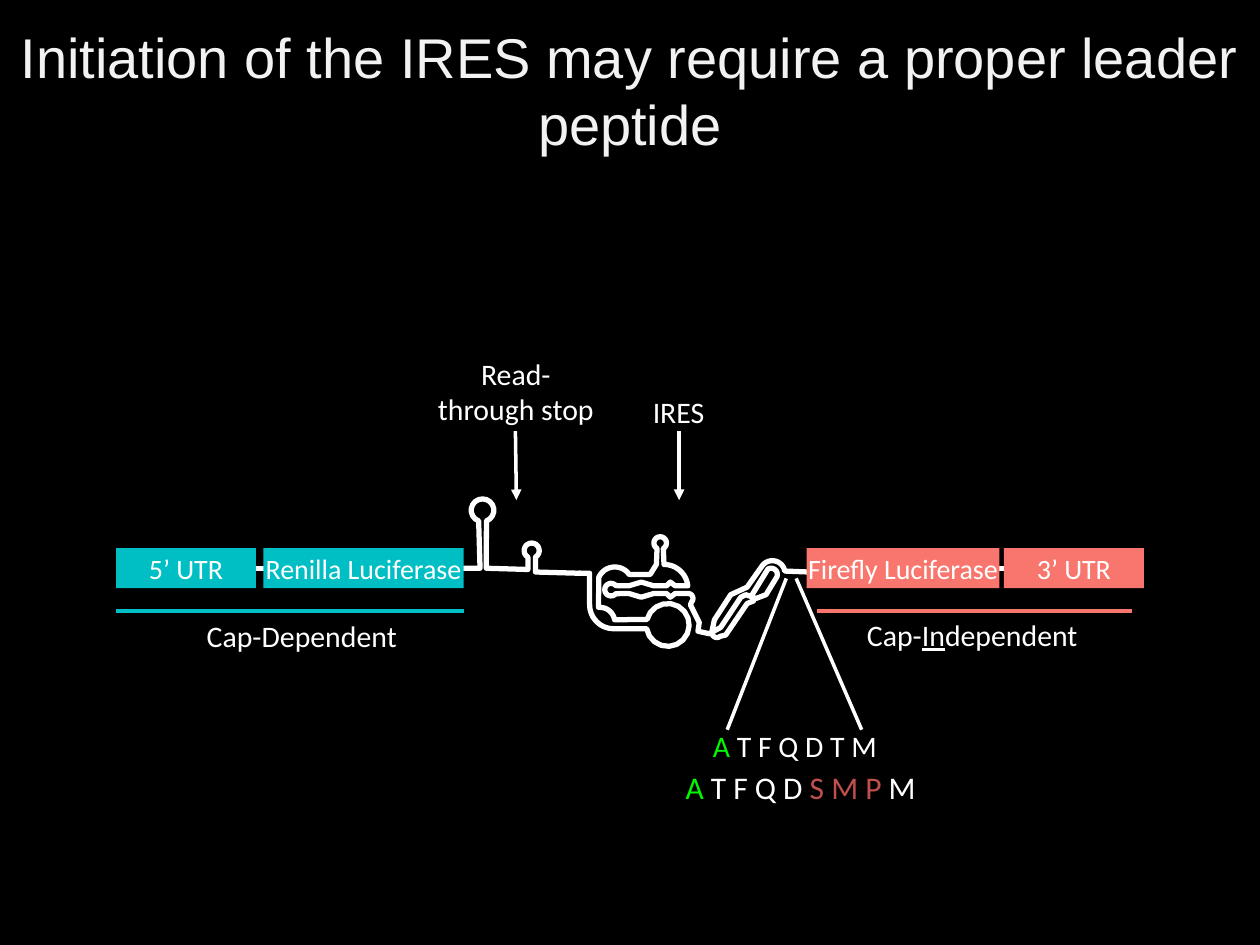
from dataclasses import dataclass
from math import cos, radians, sin
from lxml.etree import SubElement
from pptx import Presentation
from pptx.dml.color import RGBColor as Rgb
from pptx.enum.shapes import MSO_CONNECTOR as Connector, MSO_SHAPE as Preset
from pptx.enum.text import MSO_ANCHOR as Anchor, PP_ALIGN as Align
from pptx.oxml.ns import qn
from pptx.util import Cm, Pt


@dataclass(frozen=True)
class Theme:
    black: Rgb = Rgb.from_string("000000")
    white: Rgb = Rgb.from_string("FFFFFF")
    title: Rgb = Rgb.from_string("F2F2F2")
    teal: Rgb = Rgb.from_string("00BFC4")
    coral: Rgb = Rgb.from_string("F8766D")
    green: Rgb = Rgb.from_string("00F900")
    red: Rgb = Rgb.from_string("C0504D")
    heading_size: int = 32
    gene_size: int = 16
    label_size: int = 17
    peptide_size: int = 18


theme = Theme()


def write_text(shape, paragraphs, *, size=theme.label_size, color=theme.white, font="Calibri",
               align=Align.CENTER, anchor=Anchor.MIDDLE, inset=0.1, wrap=True):
    frame = shape.text_frame
    frame.word_wrap = wrap
    frame.vertical_anchor = anchor
    frame.margin_left = frame.margin_right = frame.margin_top = frame.margin_bottom = Cm(inset)
    for index, spans in enumerate(paragraphs):
        para = frame.add_paragraph() if index else frame.paragraphs[0]
        para.alignment = align
        for text, style in spans:
            span = para.add_run()
            span.text = text
            span.font.name = font
            span.font.size = Pt(size)
            span.font.color.rgb = style.get("color", color)
            if style.get("underline"):
                span.font.underline = True


def draw_line(start, end, *, color=theme.white, width=2, arrow=False):
    line = page.shapes.add_connector(Connector.STRAIGHT, *map(Cm, start + end))
    line.line.color.rgb = color
    line.line.width = Pt(width)
    if arrow:
        SubElement(line.line._get_or_add_ln(), qn("a:tailEnd"), type="triangle")
    SubElement(line._element.spPr, qn("a:effectLst"))


deck = Presentation()
deck.slide_width, deck.slide_height = Cm(25.4), Cm(19.05)
page = deck.slides.add_slide(deck.slide_layouts[5])
page.background.fill.solid()
page.background.fill.fore_color.rgb = theme.black

title = page.shapes.title
title.left, title.top, title.width, title.height = Cm(0), Cm(0), Cm(25.4), Cm(3.3)
write_text(title, [[("Initiation of the IRES may require a proper leader peptide", {})]],
           size=theme.heading_size, color=theme.title, font="Arial", anchor=Anchor.BOTTOM, inset=0.13)

draw_line((18.19, 11.46), (22.45, 11.46), width=3)
draw_line((2.46, 11.46), (6.4, 11.46), width=3)

# Hundredths of an inch: pairs are points, fives are arcs (centre, radius, two angles).
lower_strand = [(546, 471), (536, 471), (532, 474), (529, 471), (519, 471), (509, 474), (499, 471)]
upper_strand = [(x, 2 * 468 - y) for x, y in reversed(lower_strand)]
leader_stem = [
    (642, 454), (613, 455, 10, -10, -140), (593, 466), (580, 472), (567, 492),
    (569, 502, 4, 190, 50), (576, 504), (593, 479), (598, 477), (597, 472),
    (612, 456, 5, -120, 20), (608, 472), (600, 475), (592, 472), (588, 474),
    (572, 498), (563, 503), (554, 501), (555, 494), (548, 480), (546, 475, 4, 40, -90)]
dome = [
    (527, 467, 19, -10, -90), (524, 431, 5, 60, -240), (521, 448), (516, 456),
    (488, 464, 14, -35, -155), (475, 482), (476, 494, 12, -80, -10),
    (530, 496, 17, 195, 530), (487, 480, 19, 90, 180), (468, 455), (459, 455)]
ires_outline = leader_stem + lower_strand + [(485, 468, 5, 40, 320)] + upper_strand + dome
stop_outline = [
    (356, 451), (381, 451), (383, 405, 9, 110, 430), (386, 451),
    (419, 452), (422, 437, 6, 120, 420), (425, 454), (461, 455)]

arc_steps = 16
for outline in (ires_outline, stop_outline):
    points = []
    for x, y, *arc in outline:
        if not arc:
            points.append((x, y))
            continue
        radius, first, last = arc
        for index in range(arc_steps + 1):
            angle = radians(first + (last - first) * index / arc_steps)
            points.append((x + radius * cos(angle), y + radius * sin(angle)))
    points = [(Cm(x * 0.0254), Cm(y * 0.0254)) for x, y in points]
    builder = page.shapes.build_freeform(*points[0])
    builder.add_line_segments(points[1:], close=False)
    strand = builder.convert_to_shape()
    strand.shadow.inherit = False
    strand.fill.background()
    strand.line.color.rgb = theme.white
    strand.line.width = Pt(3)

for name, left, width, color in (
        ("5’ UTR", 2.34, 2.82, theme.teal),
        ("Renilla Luciferase", 5.31, 4.04, theme.teal),
        ("Firefly Luciferase", 16.26, 3.89, theme.coral),
        ("3’ UTR", 20.24, 2.82, theme.coral)):
    gene = page.shapes.add_shape(Preset.RECTANGLE, Cm(left), Cm(11.05), Cm(width), Cm(0.81))
    gene.shadow.inherit = False
    gene.fill.solid()
    gene.fill.fore_color.rgb = color
    gene.line.fill.background()
    write_text(gene, [[(name, {})]], size=theme.gene_size, inset=0)

draw_line((10.39, 8.69), (10.41, 10.08), arrow=True)
draw_line((13.69, 8.69), (13.69, 10.08), arrow=True)
draw_line((14.66, 14.71), (15.85, 11.66))
draw_line((17.37, 14.71), (16.05, 11.66))
draw_line((2.34, 12.32), (9.35, 12.32), color=theme.teal)
draw_line((16.46, 12.32), (22.83, 12.32), color=theme.coral)

green, red = {"color": theme.green}, {"color": theme.red}
left_label = {"align": Align.LEFT, "wrap": False}
peptide = {**left_label, "size": theme.peptide_size, "anchor": Anchor.TOP, "inset": 0}
for place, paragraphs, style in (
        ((6.88, 7.06, 7.04, 1.65), [[("Read-", {})], [("through stop", {})]], {}),
        ((13.06, 7.85, 1.27, 0.91), [[("IRES", {})]], left_label),
        ((2.34, 12.32, 7.49, 0.97), [[("Cap-Dependent", {})]], {}),
        ((16.41, 12.34, 6.38, 0.91),
         [[("Cap-", {}), ("In", {"underline": True}), ("dependent", {})]], {}),
        ((14.27, 14.58, 3.53, 0.91), [[("A", green), (" T F Q D T M", {})]], left_label),
        ((13.82, 15.49, 4.67, 0.76),
         [[("A", green), (" T F Q D ", {}), ("S M P ", red), ("M", {})]], peptide)):
    box = page.shapes.add_textbox(*map(Cm, place))
    write_text(box, paragraphs, **style)

deck.save("out.pptx")
